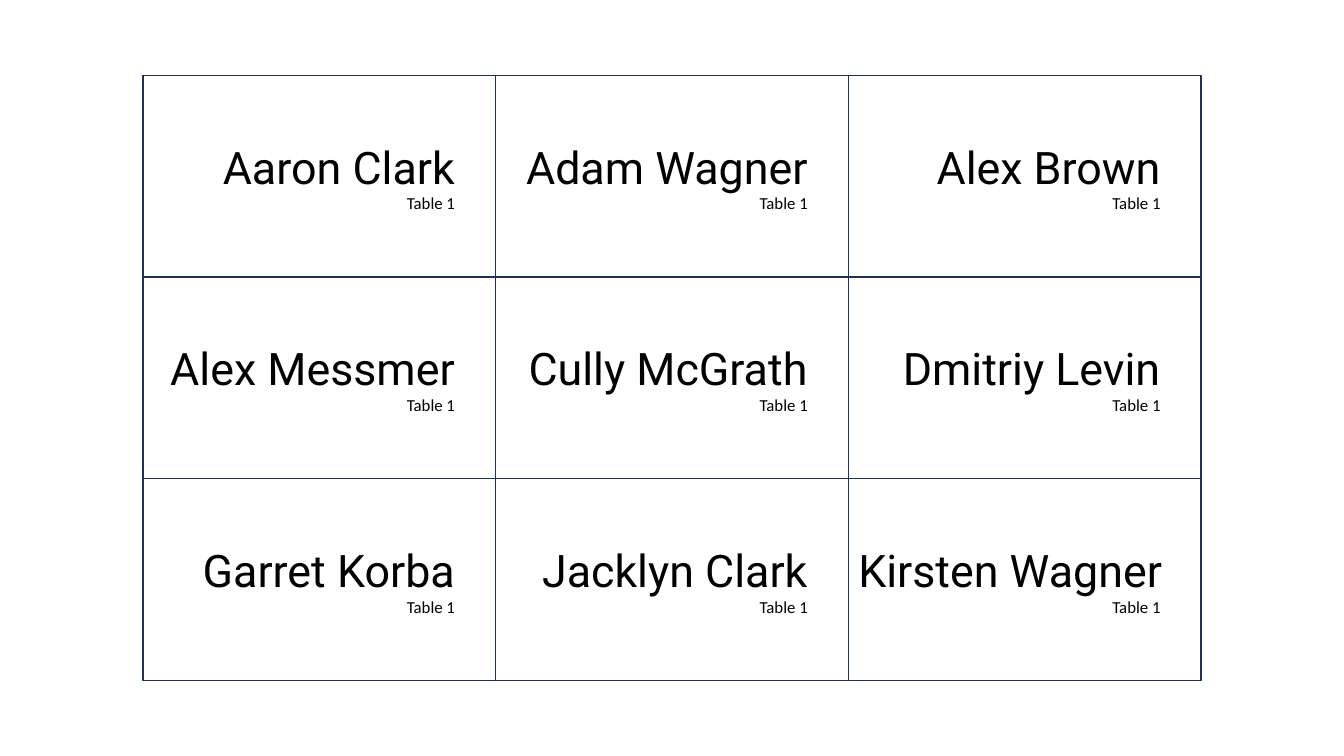
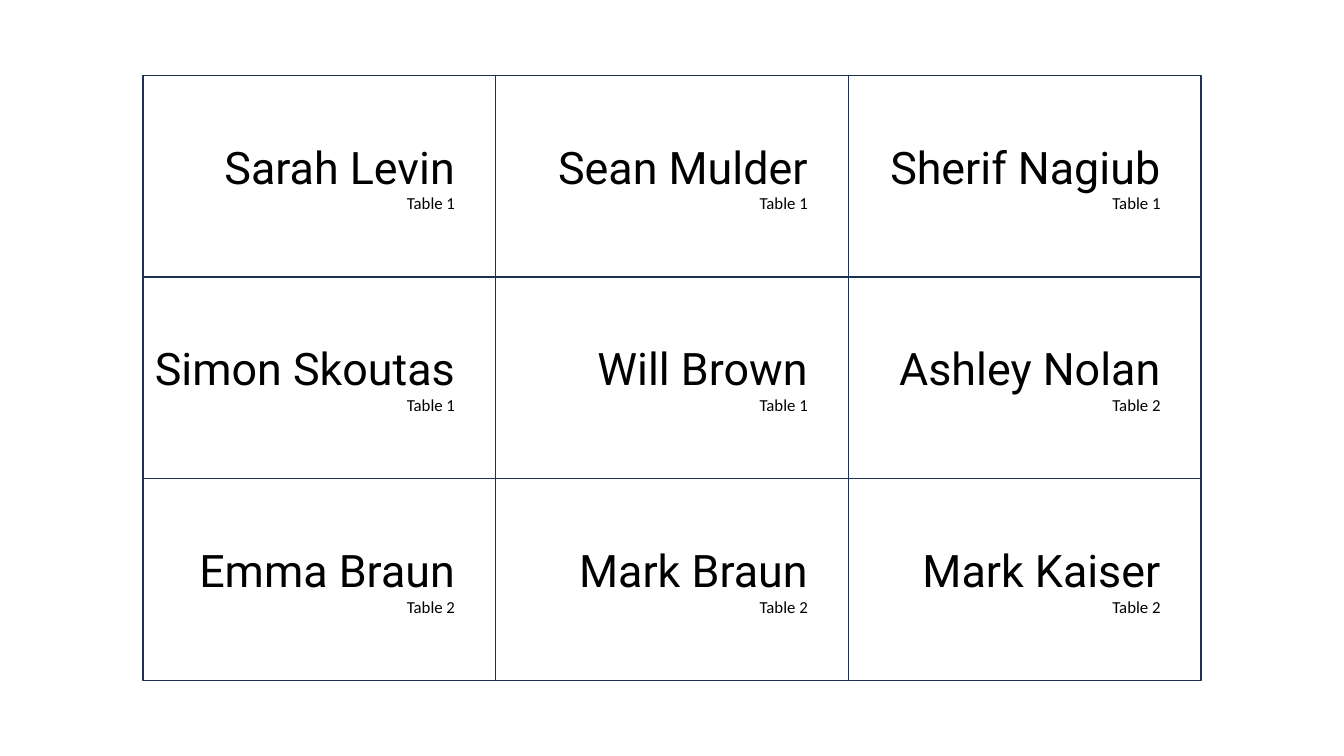
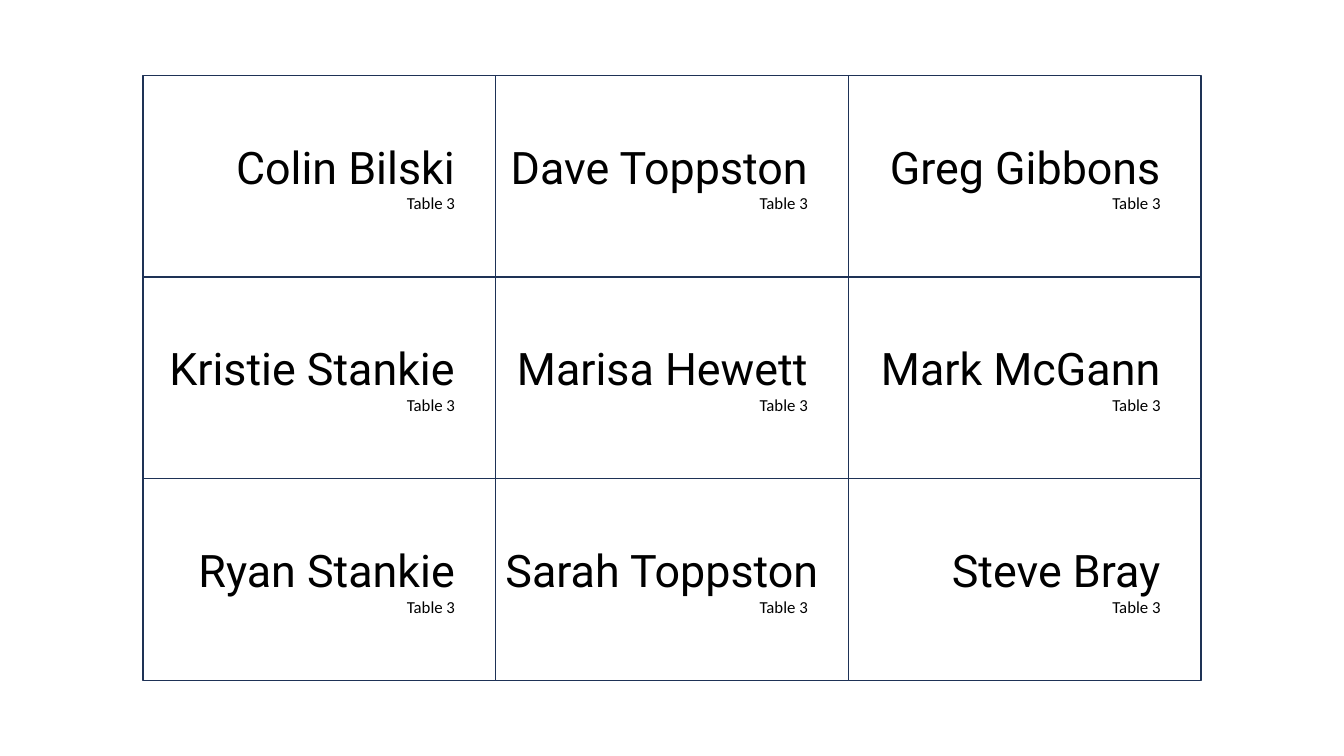
from dataclasses import dataclass

import lxml.etree
import pptx
import pptx.dml.color
import pptx.enum.shapes
import pptx.enum.text
import pptx.oxml.ns
import pptx.presentation
import pptx.slide
import pptx.text.text
import pptx.util

WHITE = pptx.dml.color.RGBColor(0xFF, 0xFF, 0xFF)
BLACK = pptx.dml.color.RGBColor(0x00, 0x00, 0x00)
NAVY = pptx.dml.color.RGBColor(0x1E, 0x32, 0x56)

SLIDE_WIDTH = pptx.util.Cm(33.87)
SLIDE_HEIGHT = pptx.util.Cm(19.05)
CARD_WIDTH = pptx.util.Cm(8.89)
CARD_HEIGHT = pptx.util.Cm(5.08)
TAB_POSITION = pptx.util.Cm(7.62)
COLUMNS = 3
ROWS = 3
GRID_LEFT = (SLIDE_WIDTH - COLUMNS * CARD_WIDTH) // 2
GRID_TOP = (SLIDE_HEIGHT - ROWS * CARD_HEIGHT) // 2


@dataclass(frozen=True)
class PlaceCard:
    guest: str
    table: int


@dataclass(frozen=True)
class TextStyle:
    font_name: str
    size: int


GUEST_STYLE = TextStyle("Roboto", 32)
TABLE_STYLE = TextStyle("Calibri", 12)

SHEETS = [
    [
        PlaceCard("Aaron Clark", 1),
        PlaceCard("Adam Wagner", 1),
        PlaceCard("Alex Brown", 1),
        PlaceCard("Alex Messmer", 1),
        PlaceCard("Cully McGrath", 1),
        PlaceCard("Dmitriy Levin", 1),
        PlaceCard("Garret Korba", 1),
        PlaceCard("Jacklyn Clark", 1),
        PlaceCard("Kirsten Wagner", 1),
    ],
    [
        PlaceCard("Sarah Levin", 1),
        PlaceCard("Sean Mulder", 1),
        PlaceCard("Sherif Nagiub", 1),
        PlaceCard("Simon Skoutas", 1),
        PlaceCard("Will Brown", 1),
        PlaceCard("Ashley Nolan", 2),
        PlaceCard("Emma Braun", 2),
        PlaceCard("Mark Braun", 2),
        PlaceCard("Mark Kaiser", 2),
    ],
    [
        PlaceCard("Colin Bilski", 3),
        PlaceCard("Dave Toppston", 3),
        PlaceCard("Greg Gibbons", 3),
        PlaceCard("Kristie Stankie", 3),
        PlaceCard("Marisa Hewett", 3),
        PlaceCard("Mark McGann", 3),
        PlaceCard("Ryan Stankie", 3),
        PlaceCard("Sarah Toppston", 3),
        PlaceCard("Steve Bray", 3),
    ],
]


def add_right_tab(paragraph: pptx.text.text._Paragraph) -> None:
    properties = paragraph._p.get_or_add_pPr()
    tab_list = lxml.etree.SubElement(properties, pptx.oxml.ns.qn("a:tabLst"))
    lxml.etree.SubElement(
        tab_list, pptx.oxml.ns.qn("a:tab"), pos=str(int(TAB_POSITION)), algn="r"
    )


def write_line(
    paragraph: pptx.text.text._Paragraph, text: str, style: TextStyle
) -> None:
    add_right_tab(paragraph)
    paragraph.alignment = pptx.enum.text.PP_ALIGN.LEFT
    paragraph.text = f"\t{text}"
    paragraph.font.name = style.font_name
    paragraph.font.size = pptx.util.Pt(style.size)
    paragraph.font.color.rgb = BLACK


def draw_card(slide: pptx.slide.Slide, card: PlaceCard, position: int) -> None:
    row, column = divmod(position, COLUMNS)
    shape = slide.shapes.add_shape(
        pptx.enum.shapes.MSO_SHAPE.RECTANGLE,
        GRID_LEFT + column * CARD_WIDTH,
        GRID_TOP + row * CARD_HEIGHT,
        CARD_WIDTH,
        CARD_HEIGHT,
    )
    shape.shadow.inherit = False
    shape.fill.solid()
    shape.fill.fore_color.rgb = WHITE
    shape.line.color.rgb = NAVY
    shape.line.width = pptx.util.Pt(1)
    text_frame = shape.text_frame
    text_frame.word_wrap = True
    text_frame.vertical_anchor = pptx.enum.text.MSO_ANCHOR.MIDDLE
    write_line(text_frame.paragraphs[0], card.guest, GUEST_STYLE)
    write_line(text_frame.add_paragraph(), f"Table {card.table}", TABLE_STYLE)


def draw_sheet(
    presentation: pptx.presentation.Presentation, cards: list[PlaceCard]
) -> None:
    slide = presentation.slides.add_slide(presentation.slide_layouts[6])
    for position, card in enumerate(cards):
        draw_card(slide, card, position)


def main() -> None:
    presentation = pptx.Presentation()
    presentation.slide_width = SLIDE_WIDTH
    presentation.slide_height = SLIDE_HEIGHT
    for cards in SHEETS:
        draw_sheet(presentation, cards)
    presentation.save("out.pptx")


if __name__ == "__main__":
    main()
